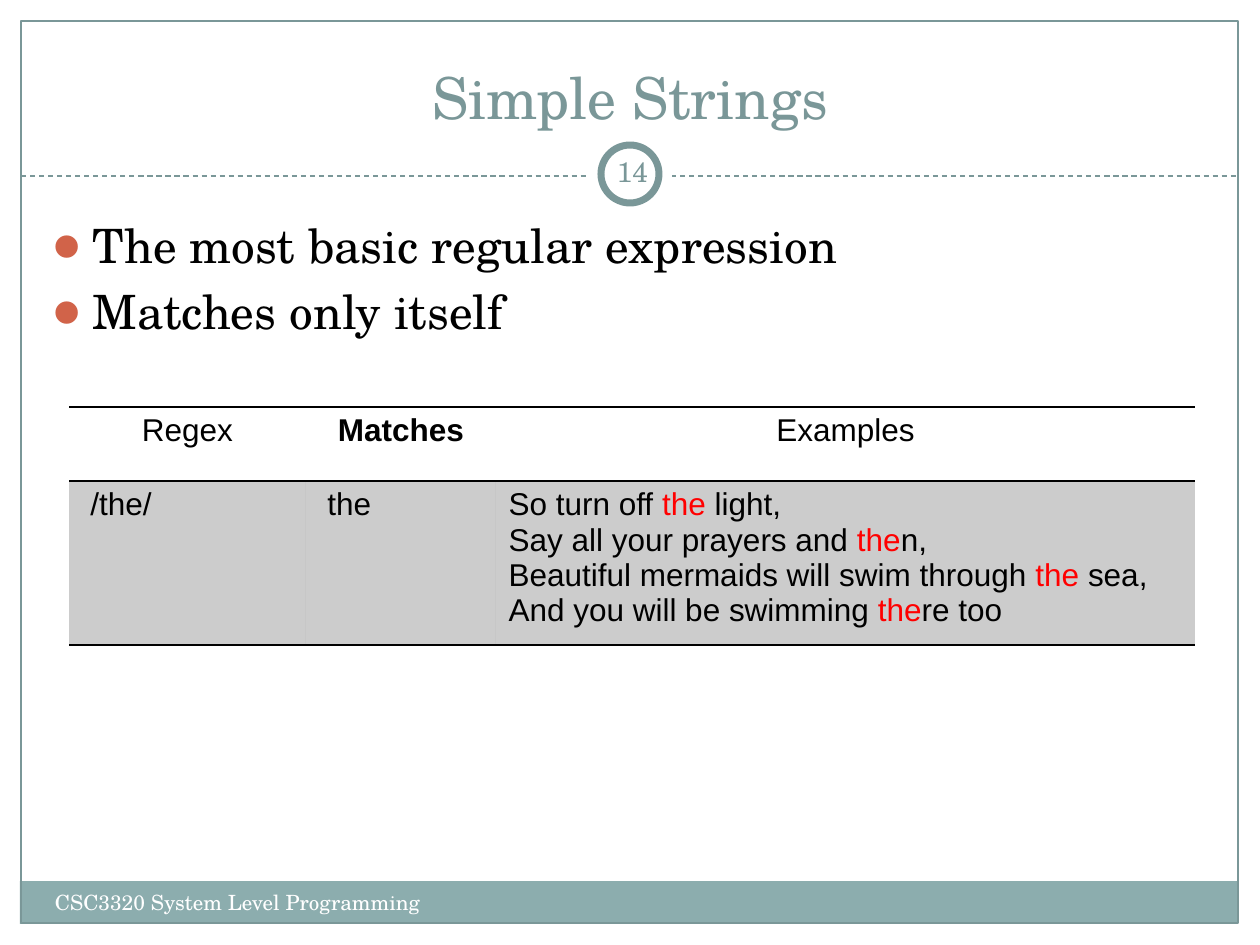
from dataclasses import dataclass

from lxml.etree import SubElement
from pptx import Presentation
from pptx.dml.color import RGBColor as RGB
from pptx.enum.dml import MSO_LINE
from pptx.enum.shapes import MSO_CONNECTOR as CONN, MSO_SHAPE as SHAPE
from pptx.enum.text import MSO_ANCHOR as ANCHOR, MSO_AUTO_SIZE as FIT, PP_ALIGN as ALIGN
from pptx.oxml import parse_xml
from pptx.oxml.ns import nsdecls, qn
from pptx.util import Emu, Pt

EMU_PER_PX = 914400 / 126


@dataclass(frozen=True)
class Theme:
    """Colours, fonts and type sizes of the slide."""
    teal: str = "7A9798"
    band: str = "8CADAE"
    bullet: str = "D16349"
    match: str = "FF0000"
    black: str = "000000"
    white: str = "FFFFFF"
    serif: str = "TeX Gyre Schola"
    sans: str = "Arial"
    title: float = 33
    body: float = 27
    table: float = 18
    number: float = 16
    footer: float = 12


T = Theme()
NO_STYLE = "{2D5ABB26-0587-4C30-8999-92F81FD0307C}"
BULLETS = ["The most basic regular expression", "Matches only itself"]
COL_WIDTHS = [237, 190, 699]
ROW_HEIGHTS = [74, 154]
HEADERS = ["Regex", "Matches", "Examples"]
# Text between bars is a match.
ROW = [
    [" /the/"],
    [" the"],
    ["So turn off |the| light,",
     "Say all your prayers and |the|n,",
     "Beautiful mermaids will swim through |the| sea,",
     "And you will be swimming |the|re too"],
]


def px(n):
    """Turn pixels into EMU."""
    return Emu(round(n * EMU_PER_PX))


def box(*lengths):
    """Turn left, top, width and height in pixels into EMU."""
    return [px(n) for n in lengths]


def add_run(p, text, font, size, color, bold=False):
    """Append one formatted run."""
    r = p.add_run()
    r.text = text
    r.font.name, r.font.size, r.font.bold = font, Pt(size), bold
    r.font.color.rgb = RGB.from_string(color)


def add_shape(slide, kind, at, fill=None, line=None, width=0.75):
    """Add a flat preset shape."""
    sp = slide.shapes.add_shape(kind, *box(*at))
    sp.shadow.inherit = False
    if fill:
        sp.fill.solid()
        sp.fill.fore_color.rgb = RGB.from_string(fill)
    else:
        sp.fill.background()
    if line:
        sp.line.color.rgb = RGB.from_string(line)
        sp.line.width = Pt(width)
    else:
        sp.line.fill.background()


def add_rule(slide, x1, x2, y):
    """Add a dashed horizontal line."""
    line = slide.shapes.add_connector(CONN.STRAIGHT, px(x1), px(y), px(x2), px(y))
    line.line.color.rgb = RGB.from_string(T.teal)
    line.line.width = Pt(0.75)
    line.line.dash_style = MSO_LINE.DASH
    SubElement(line._element.spPr, qn("a:effectLst"))


def add_label(slide, at, text, size, color, align=ALIGN.LEFT, anchor=ANCHOR.TOP, inset=13):
    """Add a one-line text box."""
    tf = slide.shapes.add_textbox(*box(*at)).text_frame
    tf.word_wrap = True
    tf.vertical_anchor = anchor
    tf.margin_left = tf.margin_right = px(inset)
    tf.paragraphs[0].alignment = align
    add_run(tf.paragraphs[0], text, T.serif, size, color)


def place(sp, at, anchor):
    """Move a placeholder and return its text frame."""
    sp.left, sp.top, sp.width, sp.height = box(*at)
    tf = sp.text_frame
    tf.word_wrap, tf.auto_size, tf.vertical_anchor = True, FIT.NONE, anchor
    return tf


def set_title(slide, text):
    """Fill the title placeholder."""
    p = place(slide.shapes.title, (42, 32, 1176, 105), ANCHOR.BOTTOM).paragraphs[0]
    p.alignment = ALIGN.CENTER
    add_run(p, text, T.serif, T.title, T.teal)


def set_bullets(slide, items):
    """Fill the body placeholder with a bulleted list."""
    tf = place(slide.placeholders[1], (42, 210, 1172, 630), ANCHOR.TOP)
    for i, text in enumerate(items):
        p = tf.add_paragraph() if i else tf.paragraphs[0]
        p.space_before = Pt(5.4 if i else 0)
        add_run(p, text, T.serif, T.body, T.black)
        pPr = p._p.get_or_add_pPr()
        pPr.set("marL", str(px(38)))
        pPr.set("indent", str(-px(38)))
        color = SubElement(pPr, qn("a:buClr"))
        SubElement(color, qn("a:srgbClr"), val=T.bullet)
        SubElement(pPr, qn("a:buSzPct"), val="85000")
        SubElement(pPr, qn("a:buChar"), char="\u26ab")


def set_borders(cell, *sides):
    """Draw thin black borders on the named sides of a cell."""
    tcPr = cell._tc.get_or_add_tcPr()
    for i, side in enumerate(sides):
        tcPr.insert(i, parse_xml(
            f'<a:ln{side} {nsdecls("a")} w="12700"><a:solidFill>'
            f'<a:srgbClr val="{T.black}"/></a:solidFill></a:ln{side}>'))


def fill_cell(cell, lines, header=False, bold=False):
    """Write the lines of a cell and set its fill and borders."""
    tf = cell.text_frame
    for i, text in enumerate(lines):
        p = tf.add_paragraph() if i else tf.paragraphs[0]
        p.alignment = ALIGN.CENTER if header else ALIGN.LEFT
        for j, part in enumerate(text.split("|")):
            add_run(p, part, T.sans, T.table, T.match if j % 2 else T.black, bold)
    if header:
        cell.fill.background()
        set_borders(cell, "T", "B")
    else:
        cell.fill.solid()
        cell.fill.fore_color.rgb = RGB.from_string(T.black)
        color = cell._tc.tcPr.find(".//" + qn("a:srgbClr"))
        SubElement(color, qn("a:alpha"), val="20000")
        set_borders(cell, "T", "B")


def add_regex_table(slide):
    """Add the table of a regex, its match and examples."""
    at = box(69, 407, sum(COL_WIDTHS), sum(ROW_HEIGHTS))
    table = slide.shapes.add_table(2, len(COL_WIDTHS), *at).table
    table._tbl.tblPr.find(qn("a:tableStyleId")).text = NO_STYLE
    table.first_row = table.horz_banding = False
    for row, height in zip(table.rows, ROW_HEIGHTS):
        row.height = px(height)
    for c, width in enumerate(COL_WIDTHS):
        table.columns[c].width = px(width)
        fill_cell(table.cell(0, c), [HEADERS[c]], header=True, bold=HEADERS[c] == "Matches")
        fill_cell(table.cell(1, c), ROW[c])


def add_frame(slide):
    """Add the footer band, the border, the dashed rule and the number ring."""
    add_shape(slide, SHAPE.RECTANGLE, (20, 881, 1218, 43), fill=T.band)
    add_shape(slide, SHAPE.RECTANGLE, (21, 21, 1217, 902), line=T.teal)
    add_rule(slide, 21, 1238, 176)
    add_shape(slide, SHAPE.OVAL, (588, 132, 84, 84), fill=T.white)
    add_shape(slide, SHAPE.OVAL, (601, 145, 58, 58), fill=T.white, line=T.teal, width=4)


def main():
    """Build the slide and save it."""
    prs = Presentation()
    prs.slide_width, prs.slide_height = px(1260), px(945)
    slide = prs.slides.add_slide(prs.slide_layouts[1])
    add_frame(slide)
    set_title(slide, "Simple Strings")
    add_label(slide, (42, 883, 494, 50), "CSC3320 System Level Programming", T.footer, T.white)
    add_label(slide, (601, 141, 63, 60), "14", T.number, T.teal,
              ALIGN.CENTER, ANCHOR.MIDDLE, inset=6)
    set_bullets(slide, BULLETS)
    add_regex_table(slide)
    prs.save("out.pptx")


main()
